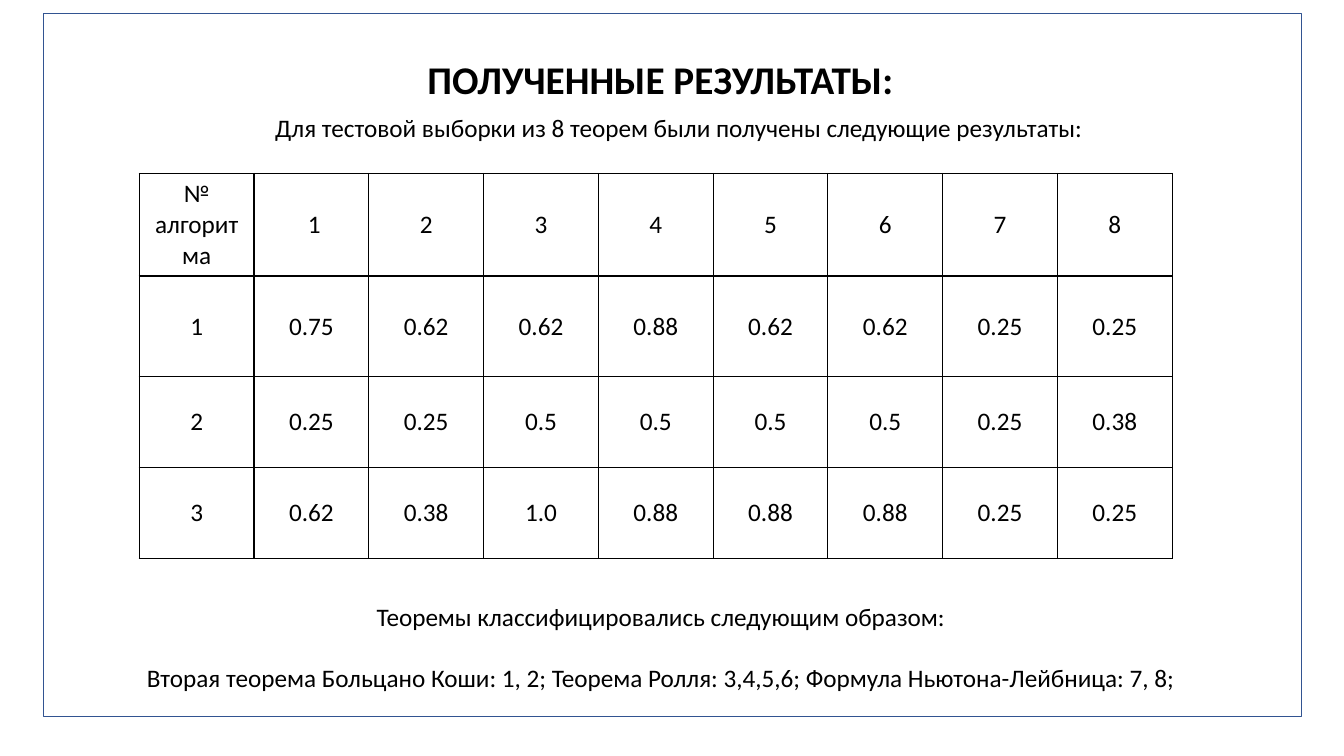
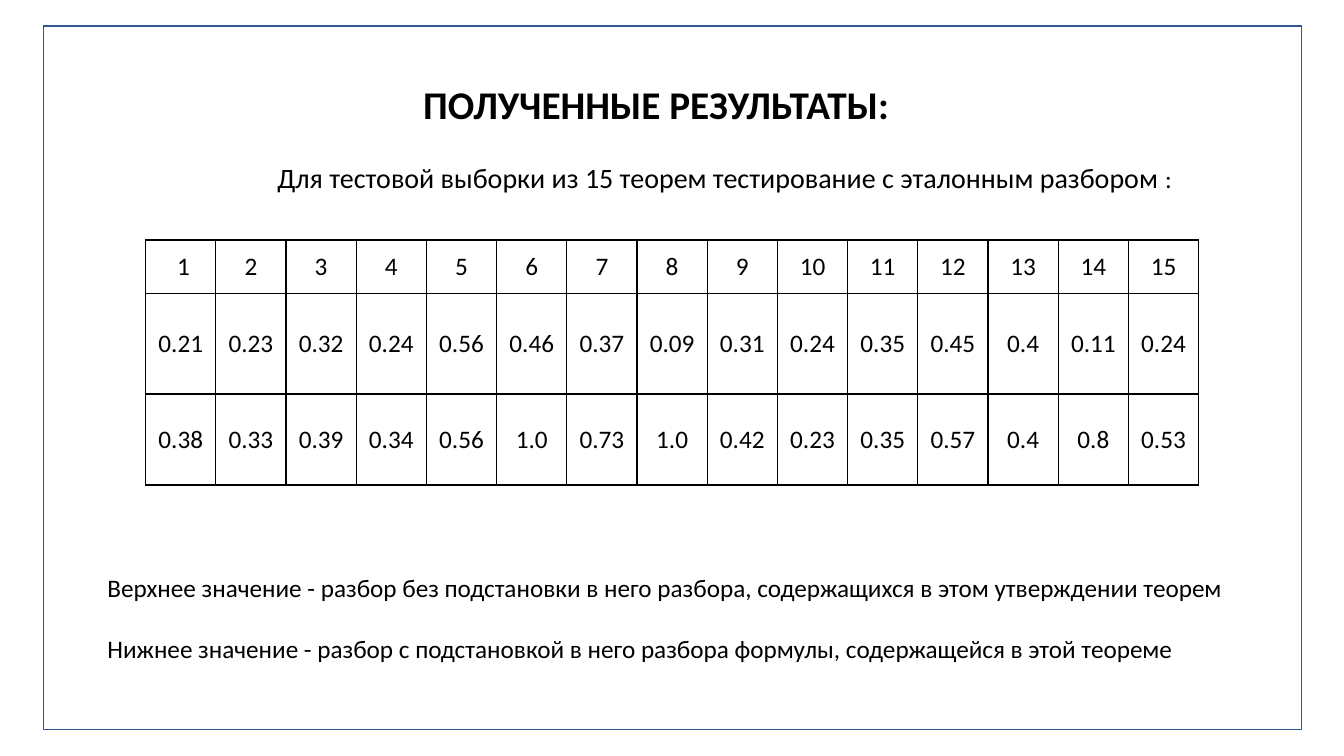
from dataclasses import dataclass

from lxml.etree import SubElement
from pptx import Presentation
from pptx.dml.color import RGBColor
from pptx.enum.shapes import MSO_SHAPE as Preset
from pptx.enum.text import MSO_ANCHOR as Anchor, MSO_AUTO_SIZE as AutoSize, PP_ALIGN as Align
from pptx.oxml.ns import qn
from pptx.util import Pt

FONT = "Calibri"
BLACK = "000000"
FRAME_BLUE = "325491"
TEXT_SIZE = 18
REMARK_GAP = 22
TITLE_AND_CONTENT = 1


@dataclass(frozen=True)
class Box:
    left: float
    top: float
    width: float
    height: float

    def lengths(self) -> tuple:
        return Pt(self.left), Pt(self.top), Pt(self.width), Pt(self.height)


@dataclass(frozen=True)
class Span:
    text: str
    size: float = TEXT_SIZE


@dataclass(frozen=True)
class ResultTable:
    left: float
    top: float
    column_width: float
    row_heights: tuple[float, ...]
    rows: tuple[str, ...]

    def values(self) -> list[list[str]]:
        return [row.split("|") for row in self.rows]


@dataclass(frozen=True)
class ResultSlide:
    frame_top: float
    title_box: Box
    lead_box: Box
    lead: tuple[Span, ...]
    table: ResultTable
    remark_box: Box
    remarks: tuple[str, ...]
    remark_align: Align


SLIDES = (
    ResultSlide(
        frame_top=9.5,
        title_box=Box(251, 36, 441, 41),
        lead_box=Box(189.5, 77, 738, 29),
        lead=(Span("Для тестовой выборки из 8 теорем были получены следующие результаты:"),),
        table=ResultTable(
            99.5, 124, 82, (72, 72, 65, 65),
            (
                "№ алгоритма| 1|2|3|4|5|6|7|8",
                "1|0.75|0.62|0.62|0.88|0.62|0.62|0.25|0.25",
                "2|0.25|0.25|0.5|0.5|0.5|0.5|0.25|0.38",
                "3|0.62|0.38|1.0|0.88|0.88|0.88|0.25|0.25",
            ),
        ),
        remark_box=Box(13.5, 426, 917, 73),
        remarks=(
            "Теоремы классифицировались следующим образом:",
            "Вторая теорема Больцано Коши: 1, 2; Теорема Ролля: 3,4,5,6; Формула Ньютона-Лейбница: 7, 8;",
        ),
        remark_align=Align.CENTER,
    ),
    ResultSlide(
        frame_top=18.5,
        title_box=Box(248, 54, 441, 41),
        lead_box=Box(191, 111, 738, 32),
        lead=(
            Span("Для тестовой выборки из 15 теорем тестирование с эталонным разбором ", 20),
            Span(":"),
        ),
        table=ResultTable(
            104, 171.5, 50.15, (38, 72, 65),
            (
                " 1|2|3|4|5|6|7|8|9|10|11|12|13|14|15",
                "0.21|0.23|0.32|0.24|0.56|0.46|0.37|0.09|0.31|0.24|0.35|0.45|0.4|0.11|0.24",
                "0.38|0.33|0.39|0.34|0.56|1.0|0.73|1.0|0.42|0.23|0.35|0.57|0.4|0.8|0.53",
            ),
        ),
        remark_box=Box(69.5, 405, 821, 73),
        remarks=(
            "Верхнее значение - разбор без подстановки в него разбора, содержащихся в этом утверждении теорем",
            "Нижнее значение - разбор с подстановкой в него разбора формулы, содержащейся в этой теореме",
        ),
        remark_align=Align.LEFT,
    ),
)


def color(value: str) -> RGBColor:
    return RGBColor.from_string(value)


def format_run(run, size: float = TEXT_SIZE, bold: bool = False) -> None:
    run.font.name = FONT
    run.font.size = Pt(size)
    run.font.bold = bold
    run.font.color.rgb = color(BLACK)


def place(shape, box: Box) -> None:
    shape.left, shape.top, shape.width, shape.height = box.lengths()
    shape.text_frame.word_wrap = True
    shape.text_frame.auto_size = AutoSize.NONE


def add_frame(slide, top: float) -> None:
    frame = slide.shapes.add_shape(Preset.RECTANGLE, *Box(31, top, 898.5, 502.5).lengths())
    frame.shadow.inherit = False
    frame.fill.background()
    frame.line.color.rgb = color(FRAME_BLUE)
    frame.line.width = Pt(1)


def fill_title(slide, box: Box) -> None:
    title = slide.shapes.title
    place(title, box)
    title.text_frame.text = "ПОЛУЧЕННЫЕ РЕЗУЛЬТАТЫ:"
    paragraph = title.text_frame.paragraphs[0]
    paragraph.alignment = Align.CENTER
    format_run(paragraph.runs[0], 28, bold=True)


def add_lead(slide, box: Box, spans: tuple[Span, ...]) -> None:
    lead = slide.shapes.add_textbox(*box.lengths())
    place(lead, box)
    paragraph = lead.text_frame.paragraphs[0]
    for span in spans:
        run = paragraph.add_run()
        run.text = span.text
        format_run(run, span.size)


def fill_remarks(slide, box: Box, remarks: tuple[str, ...], align: Align) -> None:
    body = slide.placeholders[1]
    place(body, box)
    body.text_frame.text = "\n".join(remarks)
    for paragraph in body.text_frame.paragraphs:
        paragraph.alignment = align
        paragraph.space_before = Pt(0)
        paragraph.space_after = Pt(REMARK_GAP)
        properties = paragraph._p.get_or_add_pPr()
        properties.set("marL", "0")
        properties.set("indent", "0")
        SubElement(properties, qn("a:buNone"))
        format_run(paragraph.runs[0])


def add_borders(cell) -> None:
    properties = cell._tc.get_or_add_tcPr()
    for side in ("lnL", "lnR", "lnT", "lnB"):
        line = SubElement(properties, qn(f"a:{side}"), w=str(Pt(1)))
        fill = SubElement(line, qn("a:solidFill"))
        SubElement(fill, qn("a:srgbClr"), val=BLACK)


def add_result_table(slide, result: ResultTable) -> None:
    values = result.values()
    column_count = len(values[0])
    box = Box(
        result.left,
        result.top,
        result.column_width * column_count,
        sum(result.row_heights),
    )
    table = slide.shapes.add_table(len(values), column_count, *box.lengths()).table
    table.first_row = False
    table.horz_banding = False
    for column in table.columns:
        column.width = Pt(result.column_width)
    for row, height, texts in zip(table.rows, result.row_heights, values):
        row.height = Pt(height)
        for cell, text in zip(row.cells, texts):
            add_borders(cell)
            cell.fill.background()
            cell.vertical_anchor = Anchor.MIDDLE
            cell.text_frame.text = text
            paragraph = cell.text_frame.paragraphs[0]
            paragraph.alignment = Align.CENTER
            format_run(paragraph.runs[0])


def add_result_slide(presentation, content: ResultSlide) -> None:
    slide = presentation.slides.add_slide(presentation.slide_layouts[TITLE_AND_CONTENT])
    add_frame(slide, content.frame_top)
    fill_title(slide, content.title_box)
    add_lead(slide, content.lead_box, content.lead)
    add_result_table(slide, content.table)
    fill_remarks(slide, content.remark_box, content.remarks, content.remark_align)


def main() -> None:
    presentation = Presentation()
    presentation.slide_width = Pt(960)
    presentation.slide_height = Pt(540)
    for content in SLIDES:
        add_result_slide(presentation, content)
    presentation.save("out.pptx")


if __name__ == "__main__":
    main()
